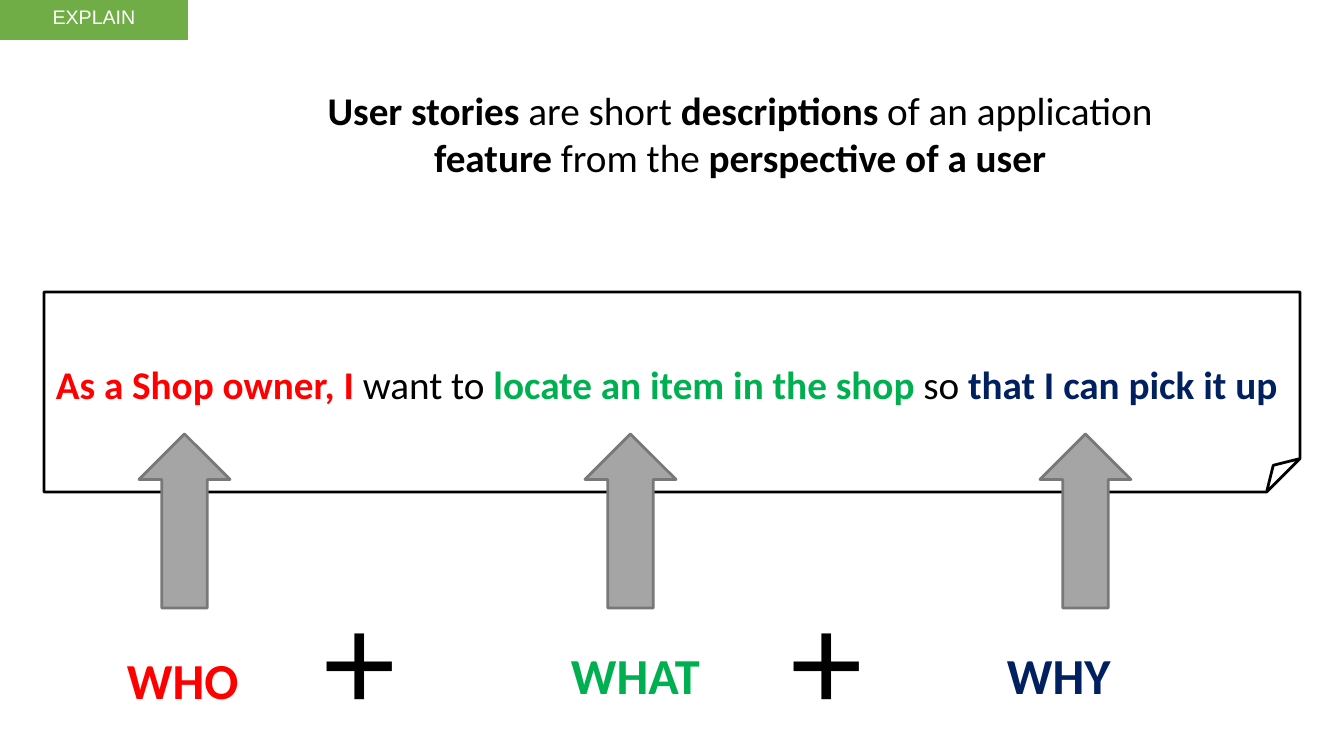
from pptx import Presentation
from pptx import util as u
from pptx.dml.color import RGBColor
from pptx.enum import shapes, text

BLACK = RGBColor(0x00, 0x00, 0x00)
WHITE = RGBColor(0xFF, 0xFF, 0xFF)
RED = RGBColor(0xFF, 0x00, 0x00)
GREEN = RGBColor(0x00, 0xB0, 0x50)
NAVY = RGBColor(0x00, 0x20, 0x60)
LEAF = RGBColor(0x70, 0xAD, 0x47)
GRAY = RGBColor(0xA5, 0xA5, 0xA5)
EDGE = RGBColor(0x78, 0x78, 0x78)

SCALE = 914400 / 100.8
SHAPE = shapes.MSO_SHAPE
ALIGN = text.PP_ALIGN


def px(*sizes):
    """Turn pixel lengths into EMU."""
    return [u.Emu(round(size * SCALE)) for size in sizes]


def write(shape, runs, size, font="Calibri", align=ALIGN.LEFT):
    """Fill a shape with one paragraph of (words, colour, bold) runs."""
    frame = shape.text_frame
    frame.word_wrap = True
    frame.auto_size = text.MSO_AUTO_SIZE.NONE
    frame.vertical_anchor = text.MSO_ANCHOR.TOP
    para = frame.paragraphs[0]
    para.alignment = align
    para.font.name = font
    para.font.size = u.Pt(size)
    for words, color, bold in runs:
        run = para.add_run()
        run.text = words
        run.font.color.rgb = color
        run.font.bold = bold


prs = Presentation()
prs.slide_width, prs.slide_height = px(1344, 756)
slide = prs.slides.add_slide(prs.slide_layouts[5])
items = slide.shapes

# Definition
title = items.title
title.left, title.top, title.width, title.height = px(282, 81, 916, 105)
write(title, [
    ("User stories ", BLACK, True),
    ("are short ", BLACK, False),
    ("descriptions", BLACK, True),
    (" of an application ", BLACK, False),
    ("feature", BLACK, True),
    (" from the ", BLACK, False),
    ("perspective of a user", BLACK, True),
], 28, align=ALIGN.CENTER)

# Section tag
tag = items.add_shape(SHAPE.RECTANGLE, *px(0, 0, 188, 40))
tag.shadow.inherit = False
tag.fill.solid()
tag.fill.fore_color.rgb = LEAF
tag.line.fill.background()
write(tag, [("EXPLAIN", WHITE, False)], 14, "Arial", ALIGN.CENTER)

# Story on a note
story = items.add_textbox(*px(46, 355, 1257, 57))
write(story, [
    ("As a Shop owner, I ", RED, True),
    ("want to ", BLACK, False),
    ("locate an item in the shop ", GREEN, True),
    ("so ", BLACK, False),
    ("that I can pick it up", NAVY, True),
], 28)

note = items.add_shape(SHAPE.FOLDED_CORNER, *px(44, 292, 1256, 200))
note.shadow.inherit = False
note.fill.background()
note.line.color.rgb = BLACK
note.line.width = u.Pt(2)

# Parts of the story: word, colour, box left, top and width, arrow left
for word, color, left, top, width, tip in [
    ("WHO", RED, 117, 644, 133, 139),
    ("WHAT", GREEN, 561, 639, 155, 585),
    ("WHY", NAVY, 997, 639, 125, 1040),
]:
    label = items.add_textbox(*px(left, top, width, 72))
    write(label, [(word, color, True)], 36)

    arrow = items.add_shape(SHAPE.UP_ARROW, *px(tip, 434, 91, 174))
    arrow.shadow.inherit = False
    arrow.fill.solid()
    arrow.fill.fore_color.rgb = GRAY
    arrow.line.color.rgb = EDGE
    arrow.line.width = u.Pt(2)

for left in (311, 778):
    plus = items.add_textbox(*px(left, 572, 88, 173))
    write(plus, [("+", BLACK, False)], 96, "Arial")

prs.save("out.pptx")
